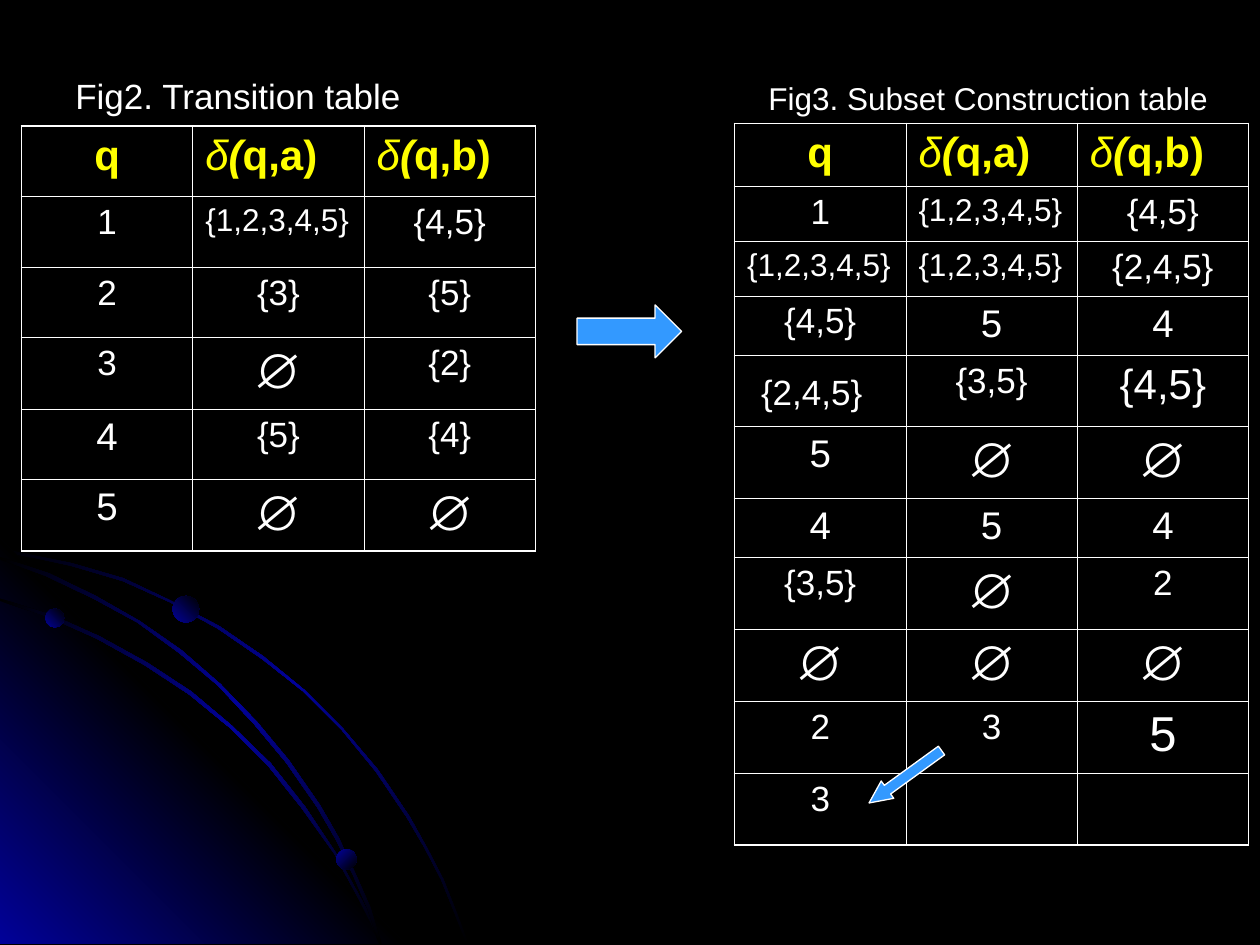
import pptx
import pptx.util
from lxml import etree
from pptx.dml.color import RGBColor
from pptx.enum.shapes import MSO_SHAPE
from pptx.enum.text import PP_ALIGN
from pptx.oxml.ns import qn
from pptx.util import Inches

BLACK = RGBColor(0x00, 0x00, 0x00)
WHITE = RGBColor(0xFF, 0xFF, 0xFF)
YELLOW = RGBColor(0xFF, 0xFF, 0x00)
NAVY = RGBColor(0x01, 0x01, 0x99)
SKY = RGBColor(0x33, 0x99, 0xFF)

FONT = "Arial"
COL_WIDTH = 1.36
OUTER_LINE, INNER_LINE = 1.08, 0.45
EMPTY, FULL_SET = "∅", "{1,2,3,4,5}"
TEXT_SIZES = {EMPTY: 28, FULL_SET: 18}

# A cell is its text, or (text, size) where the size is not the usual one.
TRANSITIONS = [
    ["1", FULL_SET, "{4,5}"],
    ["2", "{3}", "{5}"],
    ["3", EMPTY, "{2}"],
    [("4", 22), "{5}", "{4}"],
    [("5", 22), EMPTY, EMPTY],
]
SUBSETS = [
    ["1", FULL_SET, "{4,5}"],
    [FULL_SET, FULL_SET, "{2,4,5}"],
    ["{4,5}", ("5", 22), ("4", 22)],
    ["{2,4,5}", "{3,5}", ("{4,5}", 24)],
    [("5", 22), EMPTY, EMPTY],
    [("4", 22), ("5", 22), ("4", 22)],
    ["{3,5}", EMPTY, "2"],
    [EMPTY, EMPTY, EMPTY],
    ["2", "3", ("5", 28)],
    ["3", "", ""],
]
SUBSET_HEIGHTS = [0.5, 0.43, 0.43, 0.47, 0.57, 0.57, 0.47, 0.57, 0.57, 0.57, 0.57]

OUTER_ORBIT = [
    (0.57, 4.47), (0.28, 4.41), (0, 4.35), (0, 4.38), (0.28, 4.43), (0.56, 4.49),
    (0.97, 4.61), (1.35, 4.78), (1.73, 4.99), (2.08, 5.23), (2.41, 5.49), (2.71, 5.79),
    (2.98, 6.12), (3.23, 6.49), (3.37, 6.73), (3.5, 6.98), (3.6, 7.23), (3.7, 7.49),
    (3.72, 7.49), (3.62, 7.23), (3.52, 6.98), (3.39, 6.73), (3.25, 6.48), (3, 6.11),
    (2.72, 5.78), (2.42, 5.48), (2.09, 5.21), (1.74, 4.97), (1.36, 4.77), (0.98, 4.59),
]
CORNER = [(3.22, 7.49), (0, 7.49), (0, 4.27)]
INNER_ORBIT = [
    (2.85, 7.14), (2.94, 7.32), (3.01, 7.49), (3.03, 7.49), (2.96, 7.3), (2.86, 7.12),
    (2.66, 6.76), (2.42, 6.4), (2.15, 6.06), (1.84, 5.76), (1.52, 5.49), (1.17, 5.26),
    (0.79, 5.05), (0.41, 4.88), (0, 4.75), (0, 4.77), (0.39, 4.9), (0.77, 5.07),
    (1.15, 5.28), (1.5, 5.51), (1.83, 5.78), (2.13, 6.08), (2.4, 6.42), (2.65, 6.77),
]
MIDDLE_ORBIT = [
    (0, 4.42), (0, 4.44), (0.36, 4.57), (0.74, 4.75), (1.09, 4.94), (1.42, 5.18),
    (1.73, 5.44), (2.02, 5.75), (2.27, 6.05), (2.52, 6.41), (2.67, 6.67), (2.8, 6.94),
    (2.92, 7.22), (3.01, 7.49), (3.03, 7.49), (2.94, 7.2), (2.82, 6.93), (2.69, 6.65),
    (2.54, 6.39), (2.29, 6.03), (2.04, 5.73), (1.75, 5.43), (1.44, 5.16), (1.11, 4.93),
    (0.76, 4.73), (0.39, 4.55),
]


def fill_gradient(shape, colors, angle):
    """Fill with evenly spaced colours; the angle runs clockwise."""
    shape.shadow.inherit = False
    shape.line.fill.background()
    shape.fill.gradient()
    shape.fill.gradient_angle = 360 - angle
    stops = shape._element.spPr.find(qn("a:gradFill")).find(qn("a:gsLst"))
    for stop in list(stops):
        stops.remove(stop)
    for i, color in enumerate(colors):
        pos = 100000 * i // (len(colors) - 1)
        stop = etree.SubElement(stops, qn("a:gs"), pos=str(pos))
        etree.SubElement(stop, qn("a:srgbClr"), val=str(color))


def add_outline(shapes, points, colors, angle):
    corners = [(Inches(x), Inches(y)) for x, y in points]
    builder = shapes.build_freeform(*corners[0], scale=1.0)
    builder.add_line_segments(corners[1:], close=True)
    fill_gradient(builder.convert_to_shape(), colors, angle)


def add_planet(shapes, left, top, size, angle):
    planet = shapes.add_shape(MSO_SHAPE.OVAL, Inches(left), Inches(top),
                              Inches(size), Inches(size))
    fill_gradient(planet, [NAVY, BLACK], angle)


def add_orbits(s):
    shapes = s.shapes.add_group_shape().shapes
    add_outline(shapes, OUTER_ORBIT, [BLACK, NAVY, BLACK], 45)
    add_outline(shapes, CORNER, [NAVY, BLACK, NAVY], 315)
    for orbit in (INNER_ORBIT, MIDDLE_ORBIT):
        add_outline(shapes, orbit, [BLACK, NAVY, BLACK], 45)
    add_planet(shapes, 0.36, 4.83, 0.15, 315)
    add_planet(shapes, 2.67, 6.74, 0.16, 45)
    add_planet(shapes, 1.37, 4.73, 0.21, 315)


def set_font(p, size, color):
    p.font.name = FONT
    p.font.size = pptx.util.Pt(size)
    p.font.color.rgb = color


def add_caption(s, text, left, top, width, height, size, wrap):
    tf = s.shapes.add_textbox(Inches(left), Inches(top),
                              Inches(width), Inches(height)).text_frame
    tf.word_wrap = wrap
    p = tf.paragraphs[0]
    p.text = text
    set_font(p, size, WHITE)


def set_borders(cell, widths):
    """Draw white borders; widths are left, right, top, bottom in points."""
    tc_pr = cell._tc.get_or_add_tcPr()
    for side, width in zip("LRTB", widths):
        ln = etree.SubElement(tc_pr, qn("a:ln" + side), w=str(pptx.util.Pt(width)))
        fill = etree.SubElement(ln, qn("a:solidFill"))
        etree.SubElement(fill, qn("a:srgbClr"), val=str(WHITE))


def write_header(cell, argument):
    p = cell.text_frame.paragraphs[0]
    if argument:
        runs = [("δ", False, True), ("(", True, True), (f"q,{argument})", True, False)]
    else:
        runs = [("q", True, False)]
        p.alignment = PP_ALIGN.CENTER
    set_font(p, 24, YELLOW)
    for text, bold, italic in runs:
        r = p.add_run()
        r.text = text
        r.font.bold, r.font.italic = bold, italic


def write_entry(cell, entry):
    text, size = entry if isinstance(entry, tuple) else (entry, TEXT_SIZES.get(entry, 20))
    p = cell.text_frame.paragraphs[0]
    p.text = text
    p.alignment = PP_ALIGN.LEFT if text == FULL_SET else PP_ALIGN.CENTER
    set_font(p, size, WHITE)


def add_state_table(s, left, top, heights, entries):
    table = s.shapes.add_table(len(heights), 3, Inches(left), Inches(top),
                               Inches(3 * COL_WIDTH), Inches(sum(heights))).table
    table.first_row = table.horz_banding = False
    for col in table.columns:
        col.width = Inches(COL_WIDTH)
    for row, height in zip(table.rows, heights):
        row.height = Inches(height)
    last = len(heights) - 1
    for i in range(len(heights)):
        for j in range(3):
            cell = table.cell(i, j)
            on_edge = (j == 0, j == 2, i == 0, i == last)
            set_borders(cell, [OUTER_LINE if edge else INNER_LINE for edge in on_edge])
            cell.fill.background()
            if i == 0:
                write_header(cell, ("", "a", "b")[j])
            else:
                write_entry(cell, entries[i - 1][j])
    return table


def add_arrow(s, kind, left, top, width, height, head, rotation=0):
    arrow = s.shapes.add_shape(kind, Inches(left), Inches(top),
                               Inches(width), Inches(height))
    arrow.shadow.inherit = False
    arrow.adjustments[0], arrow.adjustments[1] = 0.5, head
    arrow.rotation = rotation
    arrow.fill.solid()
    arrow.fill.fore_color.rgb = SKY
    arrow.line.color.rgb = WHITE
    arrow.line.width = pptx.util.Pt(0.75)


def main():
    prs = pptx.Presentation()
    prs.slide_width, prs.slide_height = Inches(10), Inches(7.5)
    s = prs.slides.add_slide(prs.slide_layouts[6])
    s.background.fill.solid()
    s.background.fill.fore_color.rgb = BLACK

    add_orbits(s)
    add_caption(s, "Fig2. Transition table", 0.5, 0.54, 9, 4.95, 20, True)
    add_state_table(s, 0.17, 1, [0.56] * 6, TRANSITIONS)
    subsets = add_state_table(s, 5.83, 0.98, SUBSET_HEIGHTS, SUBSETS)
    lowered = subsets.cell(4, 0)
    lowered.margin_left, lowered.margin_top = Inches(0.21), Inches(0.15)
    lowered.text_frame.paragraphs[0].alignment = PP_ALIGN.LEFT

    add_arrow(s, MSO_SHAPE.RIGHT_ARROW, 4.58, 2.42, 0.83, 0.42, 0.5)
    add_caption(s, "Fig3. Subset Construction table", 6, 0.58, 3.69, 0.4, 18, False)
    add_arrow(s, MSO_SHAPE.DOWN_ARROW, 7.1, 5.81, 0.17, 0.71, 1.06, 54.1)
    prs.save("out.pptx")


if __name__ == "__main__":
    main()
